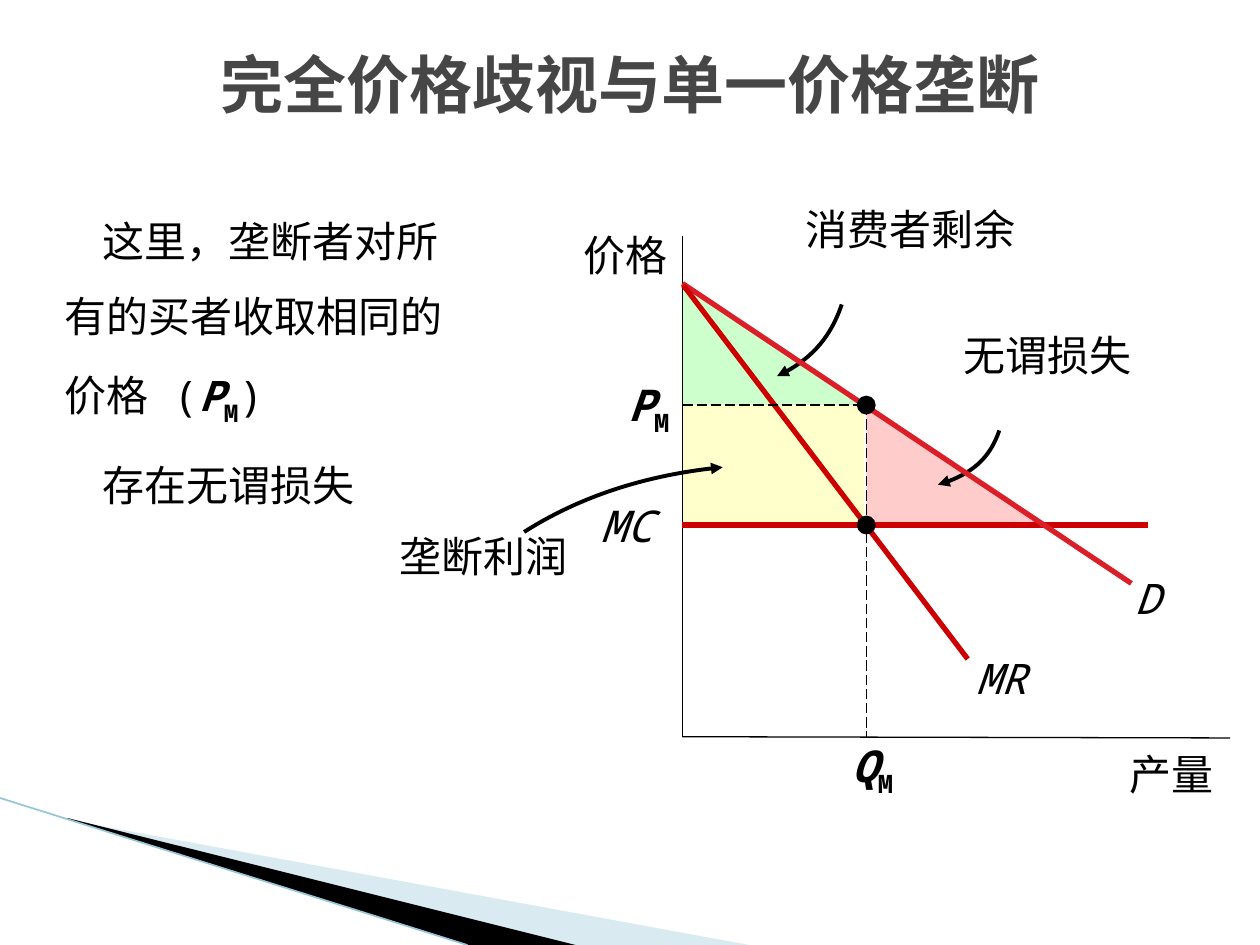
from lxml.etree import SubElement
from pptx import Presentation
from pptx.dml.color import RGBColor
from pptx.enum.dml import MSO_LINE_DASH_STYLE as Dash
from pptx.enum.shapes import MSO_CONNECTOR as Connector, MSO_SHAPE as Shape
from pptx.enum.text import MSO_ANCHOR as Anchor, MSO_AUTO_SIZE as AutoSize, PP_ALIGN as Align
from pptx.oxml.ns import qn
from pptx.util import Pt

FONT = "Noto Sans Mono"
BLACK = RGBColor(0x00, 0x00, 0x00)
TITLE_GRAY = RGBColor(0x46, 0x46, 0x46)
RED = RGBColor(0xCC, 0x00, 0x00)
DEMAND_RED = RGBColor(0xDA, 0x1F, 0x28)
GREEN = RGBColor(0xCC, 0xFF, 0xCC)
PINK = RGBColor(0xFF, 0xCC, 0xCC)
YELLOW = RGBColor(0xFF, 0xFF, 0xCC)
PALE_BLUE = RGBColor(0xA0, 0xCB, 0xDC)
EDGE_BLUE = RGBColor(0x97, 0xC5, 0xD8)


def add_text(paragraph, text, size=24, color=BLACK, bold=False, italic=False, baseline=None):
    """Append one formatted run to a paragraph."""
    run = paragraph.add_run()
    run.text = text
    font = run.font
    font.name, font.size, font.bold, font.italic = FONT, Pt(size), bold, italic
    font.color.rgb = color
    properties = run._r.get_or_add_rPr()
    SubElement(properties, qn("a:ea")).set("typeface", FONT)
    if baseline is not None:
        properties.set("baseline", str(baseline * 1000))


def add_symbol(paragraph, letter, size=25):
    """Append a bold italic letter with the subscript M."""
    add_text(paragraph, letter, size=size, bold=True, italic=True)
    add_text(paragraph, "M", size=size, bold=True, baseline=-25)


def add_label(slide, box, align=Align.LEFT, inset=True):
    """Add a text box and return its empty paragraph."""
    frame = slide.shapes.add_textbox(*map(Pt, box)).text_frame
    frame.word_wrap = True
    if not inset:
        frame.margin_left = frame.margin_right = frame.margin_top = frame.margin_bottom = 0
    paragraph = frame.paragraphs[0]
    paragraph.alignment = align
    return paragraph


def paint(shape, color):
    """Give a shape a plain fill without line or shadow."""
    shape.shadow.inherit = False
    shape.fill.solid()
    shape.fill.fore_color.rgb = color
    shape.line.fill.background()


def add_area(slide, kind, box, color):
    """Add a filled preset shape."""
    paint(slide.shapes.add_shape(kind, *map(Pt, box)), color)


def add_line(slide, start, end, color=BLACK, width=0.75, dash=None):
    """Add a straight line."""
    line = slide.shapes.add_connector(Connector.STRAIGHT, *map(Pt, start + end))
    line.line.color.rgb = color
    line.line.width = Pt(width)
    line.line.dash_style = dash
    SubElement(line._element.spPr, qn("a:effectLst"))


def add_polyline(slide, points, close):
    """Add a freeform through points."""
    builder = slide.shapes.build_freeform(*map(Pt, points[0]))
    builder.add_line_segments([tuple(map(Pt, point)) for point in points[1:]], close=close)
    return builder.convert_to_shape()


def add_curved_arrow(slide, points):
    """Add a cubic curve (start, two controls, end) with an arrowhead."""
    shape = add_polyline(slide, points, close=False)
    shape.shadow.inherit = False
    shape.fill.background()
    shape.line.color.rgb = BLACK
    shape.line.width = Pt(2.25)
    SubElement(shape.line._get_or_add_ln(), qn("a:tailEnd")).set("type", "triangle")
    outline = next(shape._element.iter(qn("a:path")))
    segments = outline.findall(qn("a:lnTo"))
    curve = SubElement(outline, qn("a:cubicBezTo"))
    for segment in segments:
        curve.append(segment[0])
        outline.remove(segment)


def draw_corner(slide, left, top):
    """Draw the wedges in the lower left corner."""
    wedges = [
        (PALE_BLUE, 40, [(39.6, 12.7), (428, 84), (328, 84), (39.6, 12)]),
        (BLACK, None, [(38, 11.3), (329, 84), (268, 84), (39, 12)]),
    ]
    for color, alpha, points in wedges:
        shape = add_polyline(slide, [(left + x, top + y) for x, y in points], close=True)
        paint(shape, color)
        if alpha:
            tint = next(shape._element.spPr.iter(qn("a:srgbClr")))
            SubElement(tint, qn("a:alpha")).set("val", str(alpha * 1000))
    add_line(slide, (left, top), (left + 267, top + 84), EDGE_BLUE, 0.95)


def place(placeholder, box):
    """Move a placeholder and return its text frame."""
    placeholder.left, placeholder.top, placeholder.width, placeholder.height = map(Pt, box)
    frame = placeholder.text_frame
    frame.auto_size = AutoSize.NONE
    return frame


def fill_title(slide, box):
    """Write the title."""
    frame = place(slide.shapes.title, box)
    frame.vertical_anchor = Anchor.MIDDLE
    paragraph = frame.paragraphs[0]
    paragraph.alignment = Align.CENTER
    add_text(paragraph, "完全价格歧视与单一价格垄断", size=36, color=TITLE_GRAY, bold=True)


def fill_body(slide, box):
    """Write the two explanatory paragraphs."""
    frame = place(slide.placeholders[1], box)
    first, second = frame.paragraphs[0], frame.add_paragraph()
    for paragraph in (first, second):
        paragraph.line_spacing = 1.5
        paragraph.space_before = Pt(4)
        properties = paragraph._p.get_or_add_pPr()
        properties.set("marL", "0")
        properties.set("indent", str(Pt(21.6)))
        SubElement(properties, qn("a:buNone"))
    add_text(first, "这里，垄断者对所有的买者收取相同的价格 (")
    add_symbol(first, "P", size=24)
    add_text(first, ")")
    add_text(second, "存在无谓损失")


def draw_market(slide, left, top, width, height):
    """Draw the monopoly diagram; the box spans its two axes."""
    def at(x, y):
        return left + x, top + y

    intercept, price, cost, quantity = 27, 96.5, 165, 105
    rise, drop = price - intercept, cost - price

    areas = [
        (Shape.RIGHT_TRIANGLE, (0, intercept), rise, GREEN),
        (Shape.RIGHT_TRIANGLE, (quantity, price), drop, PINK),
        (Shape.RECTANGLE, (0, price), drop, YELLOW),
    ]
    for kind, corner, tall, color in areas:
        add_area(slide, kind, (*at(*corner), quantity - 1, tall), color)

    arrows = [
        [(91, 39), (85, 57), (72, 72), (54, 80)],
        [(181, 111), (176, 126), (164, 137), (146, 142)],
        [(-90.5, 169), (-59, 149), (-19, 136), (23, 132)],
    ]
    for points in arrows:
        add_curved_arrow(slide, [at(*point) for point in points])

    lines = [
        ((0, 0), (0, height), BLACK, 0.75, None),
        ((0, height), (width, height + 0.7), BLACK, 0.75, None),
        ((0, cost), (266, cost), RED, 3, None),
        ((0, intercept), (256.5, 198.4), DEMAND_RED, 3, None),
        ((0.5, intercept + 1), (163, 241.6), RED, 3, None),
        ((0, price), (quantity, price), BLACK, 0.75, Dash.LONG_DASH),
        ((quantity, price), (quantity, height), BLACK, 0.75, Dash.LONG_DASH),
    ]
    for start, end, *style in lines:
        add_line(slide, at(*start), at(*end), *style)

    for y in (price, cost):
        add_area(slide, Shape.OVAL, (*at(quantity - 5.4, y - 5.4), 10.8, 10.8), BLACK)

    labels = [
        ("消费者剩余", (63.5, -22), (144, 37), Align.LEFT, True, {}),
        ("无谓损失", (153.5, 50), (144, 37), Align.LEFT, True, {}),
        ("垄断利润", (-175, 164.5), (123, 37), Align.CENTER, True, {}),
        ("价格", (-126.5, -7.5), (125, 36), Align.RIGHT, True, {}),
        ("产量", (205.5, 292.5), (98, 29), Align.RIGHT, False, {}),
        ("MC", (-54, 146.5), (53.5, 37), Align.LEFT, True, {"size": 25, "italic": True}),
        ("D", (248.5, 192), (34.5, 29), Align.CENTER, False, {"italic": True}),
        ("MR", (158.5, 238), (47, 29), Align.CENTER, False, {"italic": True}),
    ]
    for text, corner, size, align, inset, style in labels:
        add_text(add_label(slide, (*at(*corner), *size), align, inset), text, **style)
    add_symbol(add_label(slide, (*at(-46.5, 77.5), 46, 37), Align.RIGHT), "P")
    add_symbol(add_label(slide, (*at(89.5, 287), 38, 34), Align.CENTER, inset=False), "Q")


def main():
    """Build and save the slide."""
    presentation = Presentation()
    presentation.slide_width, presentation.slide_height = Pt(720), Pt(540)
    slide = presentation.slides.add_slide(presentation.slide_layouts[1])
    draw_corner(slide, 0, 456)
    fill_title(slide, (36, 22, 648, 51))
    fill_body(slide, (29.5, 105, 240.5, 377))
    draw_market(slide, 390, 135, 313, 286)
    presentation.save("out.pptx")


main()
